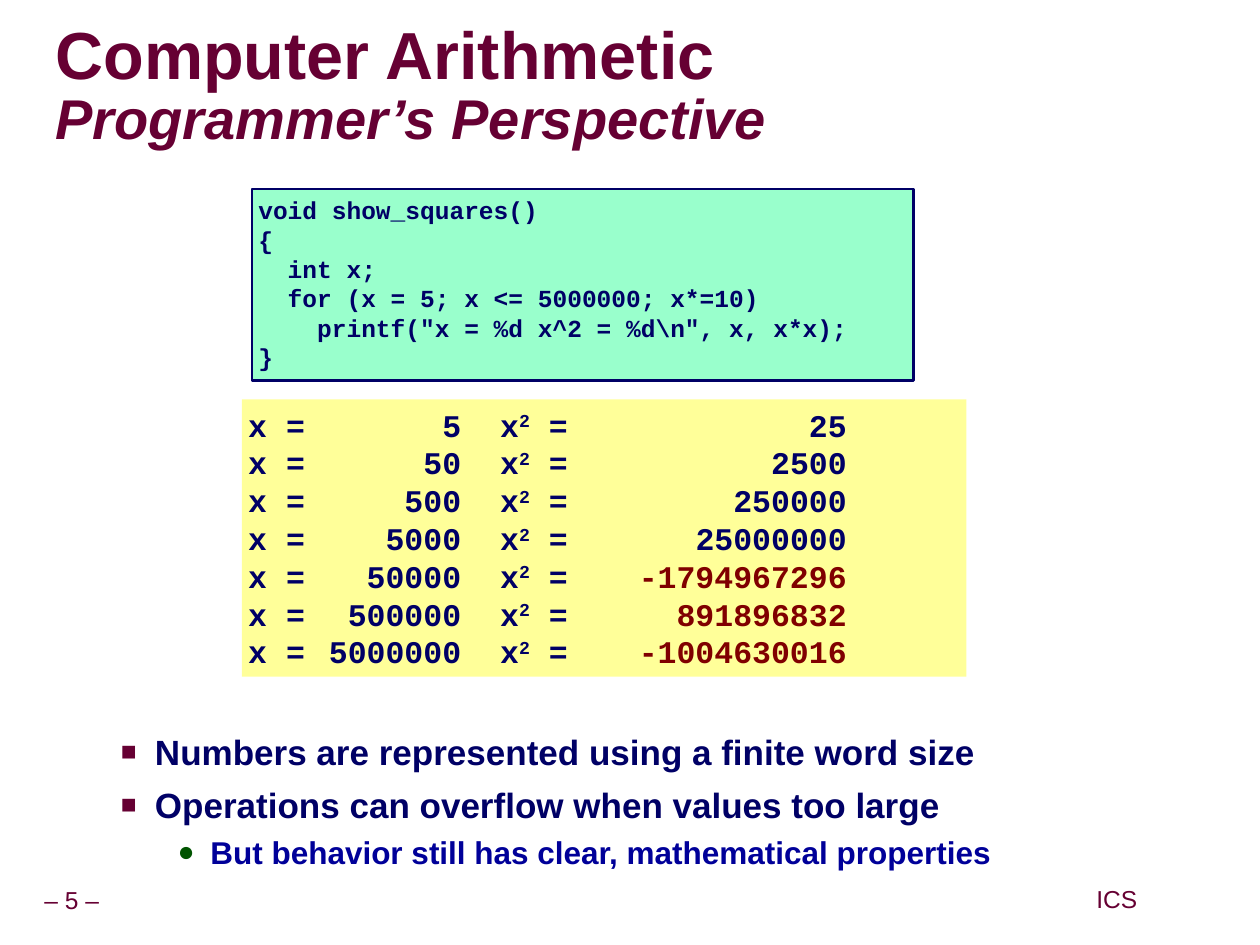
from dataclasses import dataclass

from lxml import etree
from pptx import Presentation
from pptx.dml.color import RGBColor
from pptx.enum import shapes, text
from pptx.oxml import ns
from pptx.util import Inches, Pt


@dataclass(frozen=True)
class Theme:
    sans: str = "Arial"
    mono: str = "Courier New"
    maroon: str = "660033"
    navy: str = "000066"
    blue: str = "000099"
    green: str = "005400"
    red: str = "800000"
    mint: str = "99FFCC"
    yellow: str = "FFFF99"
    shadow: str = "969696"
    title: int = 38
    subtitle: int = 32
    point: int = 20
    detail: int = 18
    code: int = 14
    footer: int = 14


theme = Theme()


def set_font(font, name, size, color, bold=False):
    font.name = name
    font.size = Pt(size)
    font.bold = bold
    font.color.rgb = RGBColor.from_string(color)


def add_xml(parent, tag, **attributes):
    return etree.SubElement(parent, ns.qn(tag), attributes)


deck = Presentation()
deck.slide_width, deck.slide_height = Inches(10), Inches(7.5)
page = deck.slides.add_slide(deck.slide_layouts[1])

for label, left, top, width in [("– 5 –", 0.24, 7, 0.66), ("ICS", 8.65, 6.99, 0.43)]:
    box = page.shapes.add_textbox(Inches(left), Inches(top), Inches(width), Inches(0.31))
    frame = box.text_frame
    frame.word_wrap = False
    frame.vertical_anchor = text.MSO_ANCHOR.MIDDLE
    frame.margin_left = frame.margin_right = Inches(0.05)
    para = frame.paragraphs[0]
    para.text = label
    para.alignment = text.PP_ALIGN.CENTER
    para.line_spacing = 0.9
    set_font(para.font, theme.sans, theme.footer, theme.maroon)

title = page.shapes.title
title.left, title.top, title.width, title.height = map(Inches, (0.44, 0.27, 9.53, 0.85))
frame = title.text_frame
frame.auto_size = text.MSO_AUTO_SIZE.NONE
frame.vertical_anchor = text.MSO_ANCHOR.MIDDLE
frame.margin_left = frame.margin_right = frame.margin_top = frame.margin_bottom = 0
para = frame.paragraphs[0]
para.alignment = text.PP_ALIGN.LEFT
para.line_spacing = 0.87
heading = para.add_run()
heading.text = "Computer Arithmetic"
para.add_line_break()
add_xml(para._p[-1], "a:rPr", sz=str(theme.title * 100))
subheading = para.add_run()
subheading.text = "Programmer’s Perspective"
for span, size in [(heading, theme.title), (subheading, theme.subtitle)]:
    set_font(span.font, theme.sans, size, theme.maroon, True)
    effects = etree.Element(ns.qn("a:effectLst"))
    shadow = add_xml(effects, "a:outerShdw", dist="38100", dir="2700000")
    add_xml(shadow, "a:srgbClr", val=theme.shadow)
    span._r.get_or_add_rPr().find(ns.qn("a:solidFill")).addnext(effects)
subheading.font.italic = True

body = page.placeholders[1]
body.left, body.top, body.width, body.height = map(Inches, (0.32, 5.75, 9.09, 1.3))
frame = body.text_frame
frame.auto_size = text.MSO_AUTO_SIZE.NONE
point_style = (1, 0.81, 0.27, "■", theme.maroon, 75, theme.point, theme.navy, 1, 6)
detail_style = (2, 1.25, 0.26, "●", theme.green, 90, theme.detail, theme.blue, 1.07, 3)
points = [
    ("Numbers are represented using a finite word size", point_style),
    ("Operations can overflow when values too large", point_style),
    ("But behavior still has clear, mathematical properties", detail_style),
]
for index, (line, style) in enumerate(points):
    level, margin, hang, bullet, bullet_color, scale, size, color, spacing, before = style
    para = frame.add_paragraph() if index else frame.paragraphs[0]
    para.text = line
    para.level = level
    para.line_spacing = spacing
    para.space_before = Pt(before if index else 0)
    properties = para._p.get_or_add_pPr()
    properties.set("marL", str(Inches(margin)))
    properties.set("indent", str(-Inches(hang)))
    add_xml(add_xml(properties, "a:buClr"), "a:srgbClr", val=bullet_color)
    add_xml(properties, "a:buSzPct", val=str(scale * 1000))
    add_xml(properties, "a:buFont", typeface=theme.sans)
    add_xml(properties, "a:buChar", char=bullet)
    set_font(para.font, theme.sans, size, color, True)

panels = []
for left, top, width, height, fill in [
    (2, 1.5, 5.25, 1.52, theme.mint),
    (1.92, 3.17, 5.75, 2.2, theme.yellow),
]:
    box = page.shapes.add_shape(
        shapes.MSO_SHAPE.RECTANGLE, Inches(left), Inches(top), Inches(width), Inches(height)
    )
    box.shadow.inherit = False
    box.fill.solid()
    box.fill.fore_color.rgb = RGBColor.from_string(fill)
    frame = box.text_frame
    frame.word_wrap = True
    frame.vertical_anchor = text.MSO_ANCHOR.TOP
    frame.margin_left = frame.margin_right = Inches(0.05)
    frame.margin_top = frame.margin_bottom = Inches(0.05)
    panels.append(box)
code_panel, output_panel = panels
code_panel.line.color.rgb = RGBColor.from_string(theme.navy)
code_panel.line.width = Pt(1.5)
output_panel.line.fill.background()

code = r'''void show_squares()
{
  int x;
  for (x = 5; x <= 5000000; x*=10)
    printf("x = %d x^2 = %d\n", x, x*x);
}'''
code_panel.text_frame.text = code
for para in code_panel.text_frame.paragraphs:
    para.alignment = text.PP_ALIGN.LEFT
    set_font(para.font, theme.mono, theme.code, theme.navy, True)

squares = [25, 2500, 250000, 25000000, -1794967296, 891896832, -1004630016]
frame = output_panel.text_frame
for index, square in enumerate(squares):
    value = 5 * 10**index
    para = frame.add_paragraph() if index else frame.paragraphs[0]
    para.alignment = text.PP_ALIGN.LEFT
    tabs = add_xml(para._p.get_or_add_pPr(), "a:tabLst")
    for position, side in [(1.69, "r"), (2, "l"), (4.75, "r")]:
        add_xml(tabs, "a:tab", pos=str(Inches(position)), algn=side)
    set_font(para.font, theme.mono, theme.detail, theme.navy, True)
    for part in [f"x =\t{value}\tx", "2", " =\t", str(square)]:
        span = para.add_run()
        span.text = part
        if part == "2":
            span._r.get_or_add_rPr().set("baseline", "30000")
    if square != value**2:
        span.font.color.rgb = RGBColor.from_string(theme.red)

deck.save("out.pptx")
